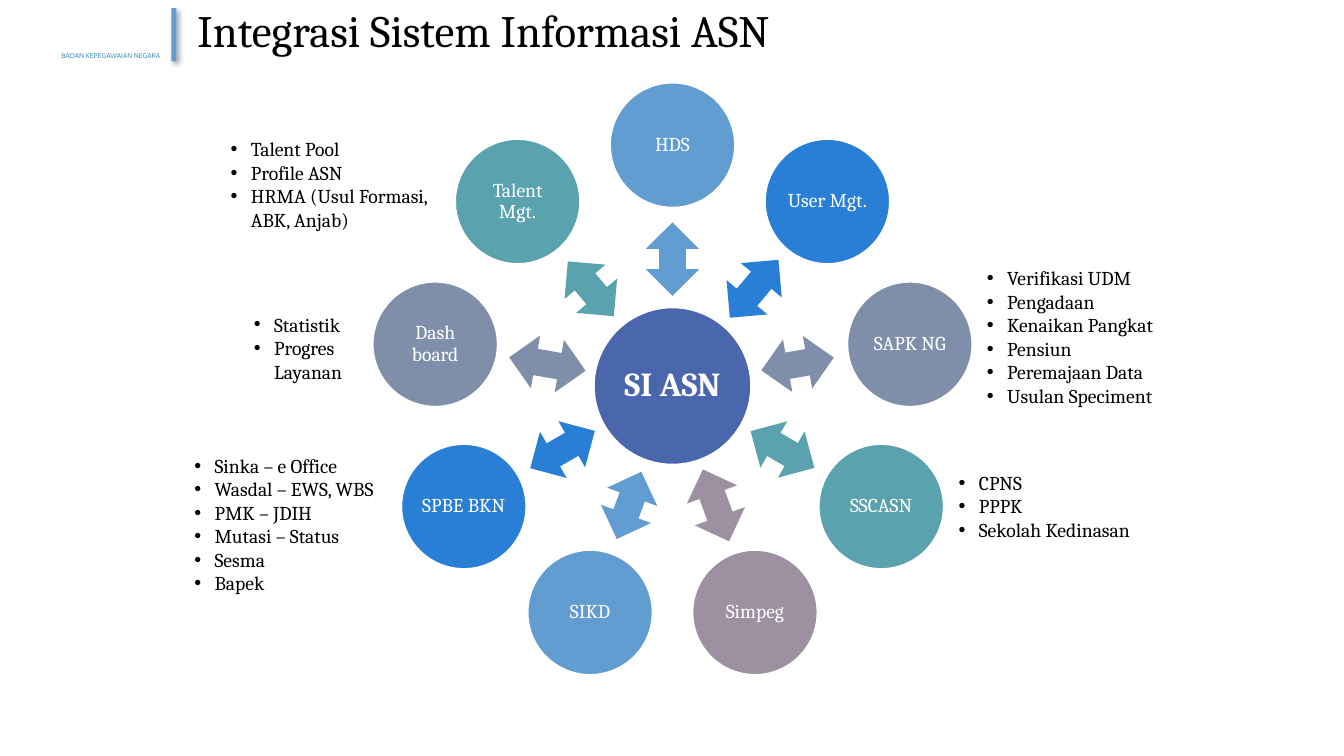
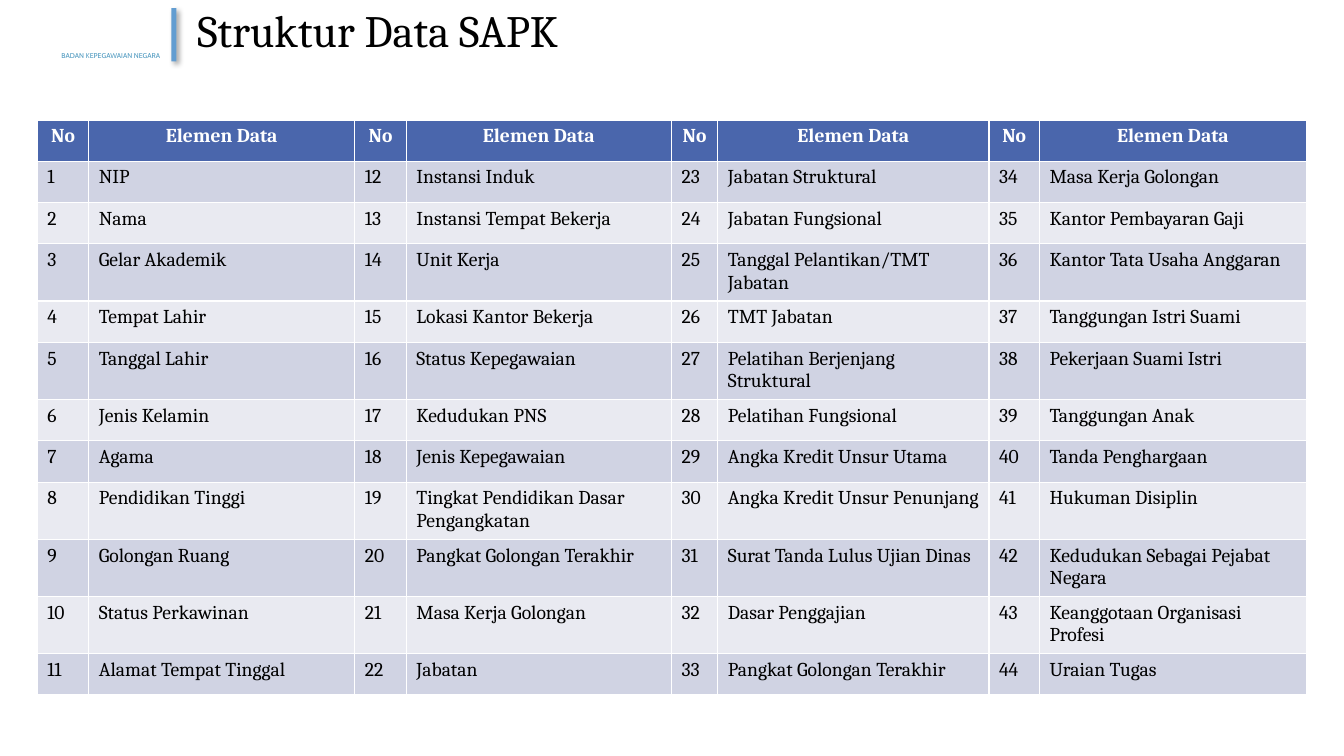
"""Build two slides on the integrated civil-service information system."""
from math import cos, radians, sin

from lxml.etree import SubElement
from pptx import Presentation
from pptx.dml.color import RGBColor
from pptx.enum.shapes import MSO_SHAPE
from pptx.enum.text import MSO_ANCHOR, PP_ALIGN
from pptx.oxml.ns import qn
from pptx.util import Inches, Pt

BLACK = RGBColor(0x00, 0x00, 0x00)
WHITE = RGBColor(0xFF, 0xFF, 0xFF)
INDIGO = RGBColor(0x4A, 0x66, 0xAC)
SKY = RGBColor(0x62, 0x9D, 0xD1)
BLUE = RGBColor(0x29, 0x7F, 0xD5)
SLATE = RGBColor(0x7F, 0x8F, 0xA9)
TEAL = RGBColor(0x5A, 0xA2, 0xAE)
MAUVE = RGBColor(0x9D, 0x90, 0xA0)
AGENCY_BLUE = RGBColor(0x4C, 0x98, 0xBF)
BAND_DARK = RGBColor(0xD0, 0xD3, 0xE3)
BAND_LIGHT = RGBColor(0xE9, 0xEA, 0xF1)

HUB_X, HUB_Y = 6.67, 3.83
HUB_SIZE, SYSTEM_SIZE, ARROW_WIDTH = 1.57, 1.25, 0.53
SYSTEM_RADIUS, ARROW_RADIUS = 2.39, 1.26

SYSTEMS = [
    ("HDS", SKY, 0.73),
    ("User Mgt.", BLUE, 0.75),
    ("SAPK NG", SLATE, 0.73),
    ("SSCASN", TEAL, 0.73),
    ("Simpeg", MAUVE, 0.76),
    ("SIKD", SKY, 0.71),
    ("SPBE BKN", BLUE, 0.74),
    ("Dash board", SLATE, 0.77),
    ("Talent Mgt.", TEAL, 0.71),
]

SERVICES = [
    (1.83, 4.45, 2.07, 1.51, ["Sinka – e Office", "Wasdal – EWS, WBS", "PMK – JDIH",
                              "Mutasi – Status", "Sesma", "Bapek"]),
    (9.69, 2.59, 1.9, 1.51, ["Verifikasi UDM", "Pengadaan", "Kenaikan Pangkat",
                             "Pensiun", "Peremajaan Data", "Usulan Speciment"]),
    (2.42, 3.05, 1.23, 0.81, ["Statistik", "Progres Layanan"]),
    (2.19, 1.31, 2.34, 1.04, ["Talent Pool", "Profile ASN",
                              "HRMA (Usul Formasi, ABK, Anjab)"]),
    (9.41, 4.62, 1.98, 0.81, ["CPNS", "PPPK", "Sekolah Kedinasan"]),
]

DATA_ELEMENTS = [
    "NIP", "Nama", "Gelar Akademik", "Tempat Lahir", "Tanggal Lahir", "Jenis Kelamin",
    "Agama", "Pendidikan Tinggi", "Golongan Ruang", "Status Perkawinan",
    "Alamat Tempat Tinggal",
    "Instansi Induk", "Instansi Tempat Bekerja", "Unit Kerja", "Lokasi Kantor Bekerja",
    "Status Kepegawaian", "Kedudukan PNS", "Jenis Kepegawaian",
    "Tingkat Pendidikan Dasar Pengangkatan", "Pangkat Golongan Terakhir",
    "Masa Kerja Golongan", "Jabatan",
    "Jabatan Struktural", "Jabatan Fungsional", "Tanggal Pelantikan/TMT Jabatan",
    "TMT Jabatan", "Pelatihan Berjenjang Struktural", "Pelatihan Fungsional",
    "Angka Kredit Unsur Utama", "Angka Kredit Unsur Penunjang",
    "Surat Tanda Lulus Ujian Dinas", "Dasar Penggajian", "Pangkat Golongan Terakhir",
    "Masa Kerja Golongan", "Kantor Pembayaran Gaji", "Kantor Tata Usaha Anggaran",
    "Tanggungan Istri Suami", "Pekerjaan Suami Istri", "Tanggungan Anak",
    "Tanda Penghargaan", "Hukuman Disiplin", "Kedudukan Sebagai Pejabat Negara",
    "Keanggotaan Organisasi Profesi", "Uraian Tugas",
]
ELEMENTS_PER_COLUMN = 11
COLUMN_WIDTHS = [0.51, 2.64, 0.51, 2.63, 0.46, 2.69, 0.5, 2.65]


class Deck:
    """Hold the house style and the slide being drawn."""

    font = "Cambria"
    body_size = 14

    def __init__(self):
        self.presentation = Presentation()
        self.presentation.slide_width = Inches(13.33)
        self.presentation.slide_height = Inches(7.5)
        self.slide = None

    def new_slide(self, title):
        """Start a slide with the shared header."""
        self.slide = self.presentation.slides.add_slide(self.presentation.slide_layouts[6])
        self.text(0.51, 0.46, 1.22, 0.19, ["BADAN KEPEGAWAIAN NEGARA"], 5, AGENCY_BLUE, "Cabin")
        divider = self.shape(MSO_SHAPE.RECTANGLE, 1.7, 0.08, 0.05, 0.53, SKY)
        self.cast_shadow(divider)
        heading = self.text(1.86, 0.03, 10.56, 0.59, [title], 32)
        heading.vertical_anchor = MSO_ANCHOR.MIDDLE
        heading.paragraphs[0].line_spacing = 0.9

    def style(self, paragraph, size=body_size, color=BLACK, font=font, bold=False):
        """Set the font of a whole paragraph."""
        paragraph.font.name = font
        paragraph.font.size = Pt(size)
        paragraph.font.bold = bold
        paragraph.font.color.rgb = color

    def text(self, left, top, width, height, lines, size=body_size, color=BLACK,
             font=font, bulleted=False):
        """Add a wrapped text box with one paragraph per line."""
        box = self.slide.shapes.add_textbox(
            Inches(left), Inches(top), Inches(width), Inches(height))
        frame = box.text_frame
        frame.word_wrap = True
        frame.text = "\n".join(lines)
        for paragraph in frame.paragraphs:
            if bulleted:
                self.bullet(paragraph)
            self.style(paragraph, size, color, font)
        return frame

    def bullet(self, paragraph):
        """Give a paragraph a hanging round bullet."""
        properties = paragraph._p.get_or_add_pPr()
        properties.set("marL", str(Inches(0.2)))
        properties.set("indent", str(Inches(-0.2)))
        SubElement(properties, qn("a:buFont"), typeface="Arial")
        SubElement(properties, qn("a:buChar"), char="•")

    def shape(self, preset, left, top, width, height, fill):
        """Add a flat preset shape."""
        shape = self.slide.shapes.add_shape(
            preset, Inches(left), Inches(top), Inches(width), Inches(height))
        shape.shadow.inherit = False
        shape.fill.solid()
        shape.fill.fore_color.rgb = fill
        shape.line.fill.background()
        return shape

    def cast_shadow(self, shape):
        """Add a soft shadow towards the lower right."""
        effects = shape._element.spPr.find(qn("a:effectLst"))
        shadow = SubElement(effects, qn("a:outerShdw"), blurRad=str(Pt(4)), dist=str(Pt(3)),
                            dir=str(45 * 60000), algn="tl", rotWithShape="0")
        color = SubElement(shadow, qn("a:srgbClr"), val=str(BLACK))
        SubElement(color, qn("a:alpha"), val="40000")

    def circle(self, center_x, center_y, diameter, fill, label, size=body_size, bold=False):
        """Add a labelled circle around a centre."""
        circle = self.shape(MSO_SHAPE.OVAL, center_x - diameter / 2, center_y - diameter / 2,
                            diameter, diameter, fill)
        circle.line.color.rgb = WHITE
        circle.line.width = Pt(2)
        frame = circle.text_frame
        frame.word_wrap = True
        frame.vertical_anchor = MSO_ANCHOR.MIDDLE
        frame.margin_left = frame.margin_right = Inches(0.02)
        frame.margin_top = frame.margin_bottom = Inches(0.02)
        frame.text = label
        paragraph = frame.paragraphs[0]
        paragraph.alignment = PP_ALIGN.CENTER
        paragraph.line_spacing = 0.9
        self.style(paragraph, size, WHITE, bold=bold)

    def double_arrow(self, center_x, center_y, length, rotation, fill):
        """Add a rotated two-headed arrow around a centre."""
        arrow = self.shape(MSO_SHAPE.LEFT_RIGHT_ARROW, center_x - length / 2,
                           center_y - ARROW_WIDTH / 2, length, ARROW_WIDTH, fill)
        arrow.rotation = rotation

    def table(self, left, top, row_height, column_widths, rows):
        """Add a banded table whose first row is the header."""
        grid = self.slide.shapes.add_table(
            len(rows), len(column_widths), Inches(left), Inches(top),
            Inches(sum(column_widths)), Inches(row_height * len(rows))).table
        for column, width in zip(grid.columns, column_widths):
            column.width = Inches(width)
        for row_index, values in enumerate(rows):
            header = row_index == 0
            band = INDIGO if header else BAND_DARK if row_index % 2 else BAND_LIGHT
            for cell, value in zip(grid.rows[row_index].cells, values):
                cell.fill.solid()
                cell.fill.fore_color.rgb = band
                cell.text = value
                paragraph = cell.text_frame.paragraphs[0]
                if header:
                    paragraph.alignment = PP_ALIGN.CENTER
                self.style(paragraph, color=WHITE if header else BLACK, bold=header)


def around_hub(radius, angle):
    """Return the point at a clockwise angle from the top of the hub."""
    return HUB_X + radius * sin(radians(angle)), HUB_Y - radius * cos(radians(angle))


def draw_integration(deck):
    """Draw the hub, its connected systems and their services."""
    deck.new_slide("Integrasi Sistem Informasi ASN")
    deck.circle(HUB_X, HUB_Y, HUB_SIZE, INDIGO, "SI ASN", 24, True)
    for index, (system, color, arrow_length) in enumerate(SYSTEMS):
        angle = index * 360 / len(SYSTEMS)
        deck.double_arrow(*around_hub(ARROW_RADIUS, angle), arrow_length,
                          (angle + 270) % 360, color)
        deck.circle(*around_hub(SYSTEM_RADIUS, angle), SYSTEM_SIZE, color, system)
    for left, top, width, height, services in SERVICES:
        deck.text(left, top, width, height, services, bulleted=True)


def draw_data_structure(deck):
    """Draw the numbered table of data elements."""
    deck.new_slide("Struktur Data SAPK")
    rows = [["No", "Elemen Data"] * (len(COLUMN_WIDTHS) // 2)]
    for first in range(ELEMENTS_PER_COLUMN):
        row = []
        for index in range(first, len(DATA_ELEMENTS), ELEMENTS_PER_COLUMN):
            row += [str(index + 1), DATA_ELEMENTS[index]]
        rows.append(row)
    deck.table(0.37, 1.19, 0.41, COLUMN_WIDTHS, rows)


def main():
    """Build and save the deck."""
    deck = Deck()
    draw_integration(deck)
    draw_data_structure(deck)
    deck.presentation.save("out.pptx")


if __name__ == "__main__":
    main()
